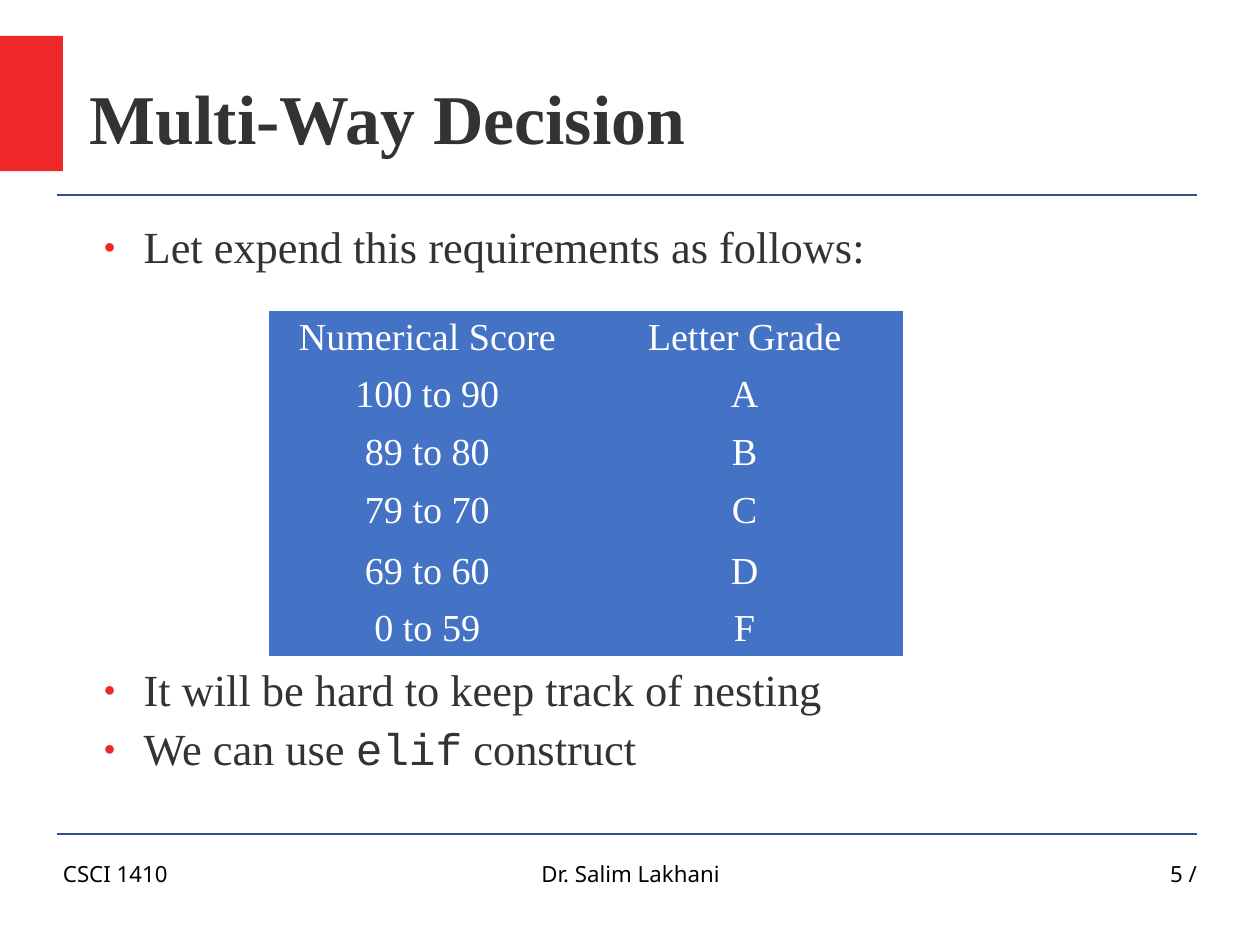
"""Build the Multi-Way Decision slide."""
from lxml import etree
from pptx import Presentation, util as u
from pptx.dml.color import RGBColor
from pptx.enum import shapes, text
from pptx.oxml.ns import qn

HUES = {"red": "EF2929", "rule": "2F528F", "cell": "4472C4",
        "ink": "333333", "black": "000000", "white": "FFFFFF"}
SERIF, MONO, SANS = "Times New Roman", "Courier New", "Noto Sans"
SIDE = text.PP_ALIGN
GRADES = [("Numerical Score", "Letter Grade"), ("100 to 90", "A"),
          ("89 to 80", "B"), ("79 to 70", "C"), ("69 to 60", "D"), ("0 to 59", "F")]
ROWS = [6, 6.15, 6.15, 6.5, 5.95, 5.8]
POINTS = [[("Let expend this requirements as follows:", SERIF)],
          [("It will be hard to keep track of nesting", SERIF)],
          [("We can use ", SERIF), ("elif", MONO), (" construct", SERIF)]]
GAPS = [248.8, 7.2, 7.2]

deck = Presentation()
deck.slide_width, deck.slide_height = u.Cm(28), u.Cm(21)
wide, high = deck.slide_width / 100, deck.slide_height / 100
slide = deck.slides.add_slide(deck.slide_layouts[1])
parts = slide.shapes


def area(left, top, width, height):
    """Turn percent shares of the slide into lengths."""
    return int(left * wide), int(top * high), int(width * wide), int(height * high)


def write(para, words, size=28, face=SERIF, hue="ink", bold=False, side=SIDE.LEFT):
    """Add one formatted run to a paragraph."""
    run = para.add_run()
    run.text = words
    run.font.size, run.font.name, run.font.bold = u.Pt(size), face, bold
    run.font.color.rgb = RGBColor.from_string(HUES[hue])
    para.alignment = side


block = parts.add_shape(shapes.MSO_SHAPE.RECTANGLE, *area(0, 3.8, 5, 14.3))
block.shadow.inherit = False
block.fill.solid()
block.fill.fore_color.rgb = RGBColor.from_string(HUES["red"])
block.line.fill.background()

for row in (88.23, 20.63):
    left, top, right, _ = area(4.54, row, 95, 0)
    rule = parts.add_connector(shapes.MSO_CONNECTOR.STRAIGHT, left, top, right, top)
    rule.line.color.rgb = RGBColor.from_string(HUES["rule"])
    rule.line.width = u.Pt(1.45)
    etree.SubElement(rule._element.spPr, qn("a:effectLst"))

title, body = parts.title, slide.placeholders[1]
frames = [title, body]
for shape, place in ((title, (7.14, 4, 87.84, 16.7)), (body, (7.14, 23.8, 85.75, 63.24))):
    shape.left, shape.top, shape.width, shape.height = area(*place)

for words, left, width, side in (("CSCI 1410", 5, 23.3, SIDE.LEFT),
                                 ("Dr. Salim Lakhani", 34.2, 31.7, SIDE.CENTER),
                                 ("5 /", 71.7, 23.3, SIDE.RIGHT)):
    foot = parts.add_textbox(*area(left, 91.05, width, 6.9))
    write(foot.text_frame.paragraphs[0], words, size=14, face=SANS, hue="black", side=side)
    frames.append(foot)

for shape in frames:
    frame = shape.text_frame
    frame.margin_left = frame.margin_right = frame.margin_top = frame.margin_bottom = 0
    frame.word_wrap = True
    frame.auto_size = text.MSO_AUTO_SIZE.NONE

title.text_frame.vertical_anchor = text.MSO_ANCHOR.MIDDLE
write(title.text_frame.paragraphs[0], "Multi-Way Decision", size=44, bold=True)

frame = body.text_frame
frame.vertical_anchor = text.MSO_ANCHOR.TOP
for i, (runs, gap) in enumerate(zip(POINTS, GAPS)):
    para = frame.add_paragraph() if i else frame.paragraphs[0]
    para.line_spacing, para.space_before, para.space_after = 0.9, u.Pt(0), u.Pt(gap)
    for words, face in runs:
        write(para, words, face=face)
    props = para._p.get_or_add_pPr()
    props.set("marL", str(u.Inches(0.47)))
    props.set("indent", str(-u.Inches(0.35)))
    tint = etree.SubElement(props, qn("a:buClr"))
    etree.SubElement(tint, qn("a:srgbClr"), val=HUES["red"])
    etree.SubElement(props, qn("a:buSzPct"), val="45000")
    etree.SubElement(props, qn("a:buChar"), char="●")

grid = parts.add_table(len(GRADES), 2, *area(21.32, 32.9, 50.36, sum(ROWS))).table
grid.first_row = grid.horz_banding = False
grid._tbl.tblPr.find(qn("a:tableStyleId")).text = "{2D5ABB26-0587-4C30-8999-92F81FD0307C}"
for row, share, pair in zip(grid.rows, ROWS, GRADES):
    row.height = int(share * high)
    for cell, words in zip(row.cells, pair):
        cell.fill.solid()
        cell.fill.fore_color.rgb = RGBColor.from_string(HUES["cell"])
        write(cell.text_frame.paragraphs[0], words, size=24, hue="white", side=SIDE.CENTER)

deck.save("out.pptx")
